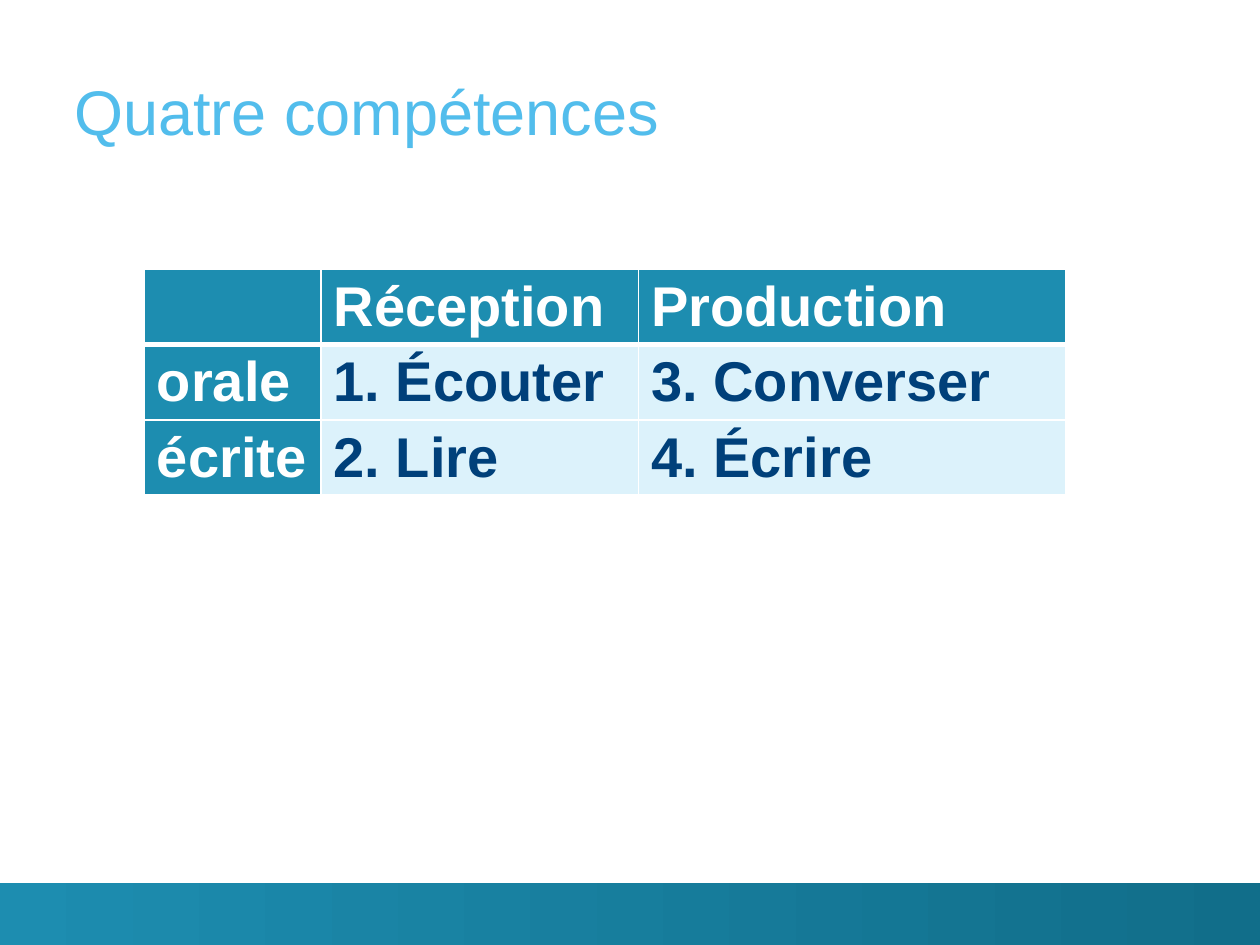
from lxml import etree
from pptx import Presentation
from pptx.dml.color import RGBColor
from pptx.enum import shapes, text
from pptx.oxml.ns import qn
from pptx.util import Pt

TEAL, DARK_TEAL, PALE, NAVY, SKY, WHITE = (
    "1D8DB0", "116E8A", "DCF2FB", "00407A", "52BDEC", "FFFFFF")


def rgb(value):
    return RGBColor.from_string(value)


def add_border(cell, side, width):
    """Draw a white line on one side (L, R, T or B); call before filling the cell."""
    ln = etree.SubElement(cell._tc.get_or_add_tcPr(), qn(f"a:ln{side}"), w=str(Pt(width)))
    fill = etree.SubElement(ln, qn("a:solidFill"))
    etree.SubElement(fill, qn("a:srgbClr"), val=WHITE)


prs = Presentation()
prs.slide_width, prs.slide_height = Pt(720), Pt(540)
s = prs.slides.add_slide(prs.slide_layouts[5])  # title only

# Title
title = s.shapes.title
title.left, title.top, title.width, title.height = Pt(42.5), Pt(14.4), Pt(656), Pt(70.5)
tf = title.text_frame
tf.text = "Quatre compétences"
tf.margin_left = tf.margin_right = tf.margin_top = tf.margin_bottom = 0
tf.vertical_anchor = text.MSO_ANCHOR.BOTTOM
p = tf.paragraphs[0]
p.alignment = text.PP_ALIGN.LEFT
p.font.name, p.font.size = "Arial", Pt(36)
p.font.color.rgb = rgb(SKY)

# Footer band
band = s.shapes.add_shape(shapes.MSO_SHAPE.RECTANGLE, 0, Pt(504.5), Pt(720), Pt(38))
band.shadow.inherit = False
band.line.fill.background()
band.fill.gradient()
band.fill.gradient_angle = 0
for stop, color, position in zip(band.fill.gradient_stops, (TEAL, DARK_TEAL), (0, 1)):
    stop.color.rgb = rgb(color)
    stop.position = position

# Skills table
rows = [
    ("", "Réception", "Production"),
    ("orale", "1. Écouter", "3. Converser"),
    ("écrite", "2. Lire", "4. Écrire"),
]
col_widths = (101, 181.5, 244)
row_height = 43
table = s.shapes.add_table(len(rows), len(col_widths), Pt(82.5), Pt(154),
                           Pt(sum(col_widths)), Pt(row_height * len(rows))).table
table.first_col = True
for col, width in zip(table.columns, col_widths):
    col.width = Pt(width)
for i, row in enumerate(rows):
    table.rows[i].height = Pt(row_height)
    for j, label in enumerate(row):
        cell = table.cell(i, j)
        is_header = i == 0 or j == 0
        for side in "LRTB":
            thick = (i, side) in ((0, "B"), (1, "T"))
            add_border(cell, side, 3 if thick else 1)
        cell.fill.solid()
        cell.fill.fore_color.rgb = rgb(TEAL if is_header else PALE)
        cell.margin_bottom = Pt(2.6)
        p = cell.text_frame.paragraphs[0]
        p.text = label
        p.font.name, p.font.size, p.font.bold = "Arial", Pt(32), True
        p.font.color.rgb = rgb(WHITE if is_header else NAVY)

prs.save("out.pptx")
